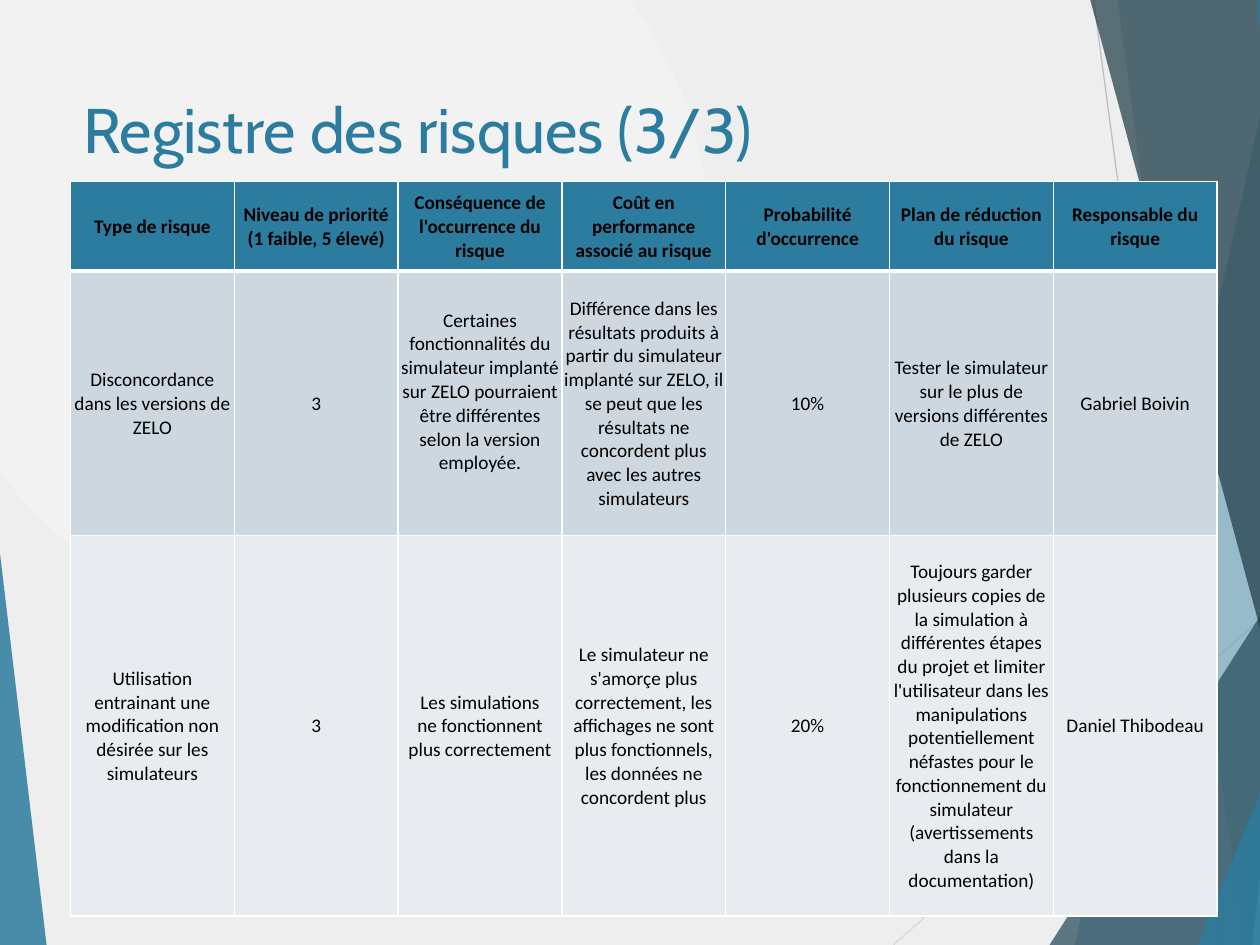
from lxml import etree
from pptx import Presentation
from pptx.dml.color import RGBColor
from pptx.enum.shapes import MSO_CONNECTOR, MSO_SHAPE
from pptx.enum.text import MSO_ANCHOR, PP_ALIGN
from pptx.oxml.ns import qn
from pptx.util import Inches, Pt

STRAIGHT, TRIANGLE = MSO_CONNECTOR.STRAIGHT, MSO_SHAPE.ISOSCELES_TRIANGLE
LEFT, CENTER = PP_ALIGN.LEFT, PP_ALIGN.CENTER
MIDDLE, TOP = MSO_ANCHOR.MIDDLE, MSO_ANCHOR.TOP

# Content ("\v" is a line break within a paragraph)
TITLE = "Registre des risques (3/3)"
RISKS = [
    ["Type de risque", "Niveau de priorité\v(1 faible, 5 élevé)",
     "Conséquence de\vl'occurrence du risque", "Coût en performance\vassocié au risque",
     "Probabilité d'occurrence", "Plan de réduction\vdu risque", "Responsable du risque"],
    ["Disconcordance dans les versions de ZELO", "3",
     "Certaines fonctionnalités du simulateur implanté sur ZELO pourraient être "
     "différentes selon la version employée.",
     "Différence dans les résultats produits à partir du simulateur implanté sur ZELO, "
     "il se peut que les résultats ne concordent plus avec les autres simulateurs",
     "10%", "Tester le simulateur sur le plus de versions différentes de ZELO",
     "Gabriel Boivin"],
    ["Utilisation\ventrainant une modification non désirée sur les simulateurs", "3",
     "Les simulations\vne fonctionnent plus correctement",
     "Le simulateur ne s'amorçe plus correctement, les affichages ne sont plus "
     "fonctionnels, les données ne concordent plus",
     "20%",
     "Toujours garder plusieurs copies de la simulation à différentes étapes du projet et "
     "limiter l'utilisateur dans les manipulations potentiellement néfastes pour le "
     "fonctionnement du simulateur (avertissements dans la documentation)",
     "Daniel Thibodeau"],
]
ROW_HEIGHTS = [0.71, 2.1, 3.02]
ROW_FILLS = ["2C7C9F", "CDD7DF", "E8ECF0"]
COLUMN_WIDTH = 1.3
RAISED_CELL = (1, 2)  # its text sits half a line above the middle

# Decoration: lines (from, to, colour); bands (top x, bottom x, colour, opacity)
# and triangles (box, apex position, colour, opacity)
LINES = [((8.68, 0), (9.68, 7.5), "BFBFBF"), ((11, 4.03), (7.09, 7.5), "D9D9D9")]
FACETS = [
    ("band", (10.21, 8.53), "2C7C9F", 30),
    ("band", (8.87, 9.87), "2C7C9F", 20),
    ("triangle", (8.33, 3.33, 2.67, 4.17, 1), "244A58", 72),
    ("band", (8.65, 10.68), "1B3842", 70),
    ("band", (10.77, 9.94), "6FB7D7", 70),
    ("band", (9.97, 10.88), "2C7C9F", 65),
    ("triangle", (9.5, 3.93, 1.49, 3.57, 1), "2C7C9F", 80),
    ("triangle", (0, 4.39, 0.37, 3.11, 0), "2C7C9F", 85),
]
BAND_TOP, BAND_BOTTOM, BAND_RIGHT = -0.01, 7.5, 11


def color(hex_value):
    return RGBColor.from_string(hex_value)


def fill_shape(shape, hex_value, opacity):
    shape.shadow.inherit = False
    shape.line.fill.background()
    shape.fill.solid()
    shape.fill.fore_color.rgb = color(hex_value)
    tint = shape.fill._xPr.find(qn("a:solidFill"))[0]
    etree.SubElement(tint, qn("a:alpha")).set("val", str(opacity * 1000))


def add_band(slide, top_x, bottom_x):
    corners = [(Inches(x), Inches(y)) for x, y in (
        (top_x, BAND_TOP), (BAND_RIGHT, BAND_TOP),
        (BAND_RIGHT, BAND_BOTTOM), (bottom_x, BAND_BOTTOM))]
    builder = slide.shapes.build_freeform(*corners[0], scale=1.0)
    builder.add_line_segments(corners[1:], close=True)
    return builder.convert_to_shape()


def add_triangle(slide, left, top, width, height, apex):
    box = [Inches(value) for value in (left, top, width, height)]
    shape = slide.shapes.add_shape(TRIANGLE, *box)
    shape.adjustments[0] = apex
    return shape


def add_line(slide, start, end, hex_value):
    ends = [Inches(value) for value in start + end]
    line = slide.shapes.add_connector(STRAIGHT, *ends)
    line.line.color.rgb = color(hex_value)
    line.line.width = Pt(0.75)
    etree.SubElement(line._element.spPr, qn("a:effectLst"))


def set_background(slide):
    fill = slide.background.fill
    fill.gradient()
    for stop, hex_value, position in zip(fill.gradient_stops, ("F2F2F2", "EEEEEE"), (0, 1)):
        stop.color.rgb = color(hex_value)
        stop.position = position
    gradient = slide._element.cSld.find(".//" + qn("a:gradFill"))
    gradient.remove(gradient.find(qn("a:lin")))
    circle = etree.SubElement(gradient, qn("a:path"))
    circle.set("path", "circle")
    focus = etree.SubElement(circle, qn("a:fillToRect"))
    for side, value in zip("ltrb", (50, 50, 100, 100)):
        focus.set(side, str(value * 1000))


def set_borders(cell, widths):
    properties = cell._tc.get_or_add_tcPr()
    for index, (side, width) in enumerate(zip("LRTB", widths)):
        border = etree.Element(qn("a:ln" + side))
        border.set("w", str(Pt(width)))
        fill = etree.SubElement(border, qn("a:solidFill"))
        etree.SubElement(fill, qn("a:srgbClr")).set("val", "FFFFFF")
        properties.insert(index, border)


def format_cell(cell, text, row, column):
    cell.text_frame.text = text
    cell.vertical_anchor = MIDDLE
    cell.margin_left = cell.margin_right = cell.margin_top = Inches(0.01)
    cell.margin_bottom = Inches(0.19 if (row, column) == RAISED_CELL else 0)
    cell.fill.solid()
    cell.fill.fore_color.rgb = color(ROW_FILLS[row])
    set_borders(cell, (1, 1, 3 if row == 1 else 1, 3 if row == 0 else 1))
    paragraph = cell.text_frame.paragraphs[0]
    paragraph.alignment = CENTER
    for run in paragraph.runs:
        run.font.name, run.font.size = "Calibri", Pt(11)
        run.font.bold = row == 0
        run.font.color.rgb = color("000000")


def add_title(slide):
    title = slide.shapes.title
    title.left, title.top = Inches(0.56), Inches(0.67)
    title.width, title.height = Inches(7.05), Inches(1.44)
    title.text_frame.text = TITLE
    title.text_frame.vertical_anchor = TOP
    paragraph = title.text_frame.paragraphs[0]
    paragraph.alignment = LEFT
    font = paragraph.runs[0].font
    font.name, font.size = "Cabin", Pt(36)
    font.color.rgb = color("2C7C9F")


def add_risk_table(slide):
    columns = len(RISKS[0])
    table = slide.shapes.add_table(
        len(RISKS), columns, Inches(0.56), Inches(1.44),
        Inches(COLUMN_WIDTH * columns), Inches(sum(ROW_HEIGHTS))).table
    for table_column in table.columns:
        table_column.width = Inches(COLUMN_WIDTH)
    for row, texts in enumerate(RISKS):
        table.rows[row].height = Inches(ROW_HEIGHTS[row])
        for column, text in enumerate(texts):
            format_cell(table.cell(row, column), text, row, column)


def main():
    presentation = Presentation()
    presentation.slide_width, presentation.slide_height = Inches(10), Inches(7.5)
    slide = presentation.slides.add_slide(presentation.slide_layouts[5])
    set_background(slide)

    # Decoration behind the content
    for start, end, hex_value in LINES:
        add_line(slide, start, end, hex_value)
    builders = {"band": add_band, "triangle": add_triangle}
    for kind, geometry, hex_value, opacity in FACETS:
        fill_shape(builders[kind](slide, *geometry), hex_value, opacity)

    # Title and table
    add_title(slide)
    add_risk_table(slide)
    presentation.save("out.pptx")


if __name__ == "__main__":
    main()
